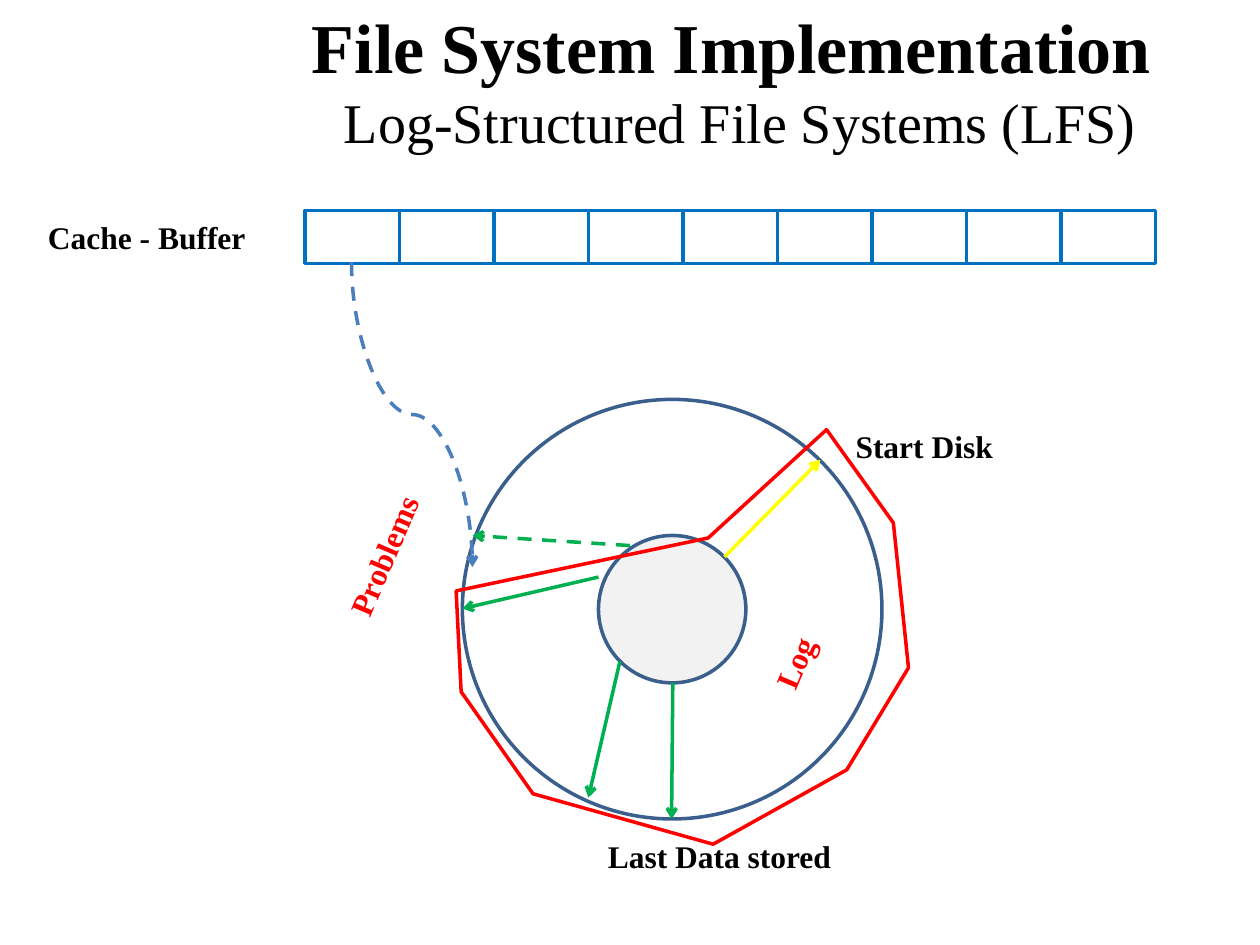
from pptx import Presentation
from pptx.dml.color import RGBColor
from pptx.enum.dml import MSO_LINE
from pptx.enum.shapes import MSO_CONNECTOR, MSO_SHAPE
from pptx.enum.text import MSO_ANCHOR, PP_ALIGN
from pptx.oxml.ns import qn
from pptx.util import Pt
from lxml import etree

PX = 9144
FONT = "Times New Roman"
RECTANGLE, OVAL = MSO_SHAPE.RECTANGLE, MSO_SHAPE.OVAL
STRAIGHT, CURVE = MSO_CONNECTOR.STRAIGHT, MSO_CONNECTOR.CURVE
DASH = MSO_LINE.DASH
MIDDLE, CENTER = MSO_ANCHOR.MIDDLE, PP_ALIGN.CENTER

BLACK = RGBColor(0x00, 0x00, 0x00)
RED = RGBColor(0xFF, 0x00, 0x00)
GREEN = RGBColor(0x00, 0xB0, 0x50)
YELLOW = RGBColor(0xFF, 0xFF, 0x00)
BUFFER_BLUE = RGBColor(0x00, 0x70, 0xC0)
DISK_BLUE = RGBColor(0x3A, 0x5F, 0x8C)
WRITE_BLUE = RGBColor(0x4B, 0x7E, 0xBC)
HUB_GRAY = RGBColor(0xF2, 0xF2, 0xF2)

LOG_OUTLINE = [(562, 427), (656, 341), (709, 415), (721, 530), (672, 611),
               (566, 670), (423, 630), (366, 549), (362, 469)]
DISK_ARROWS = [
    ((575, 442), (651, 365), YELLOW, None),
    ((534, 542), (533, 650), GREEN, None),
    ((492, 525), (467, 633), GREEN, None),
    ((475, 458), (367, 483), GREEN, None),
    ((500, 433), (375, 425), GREEN, DASH),
]
LABELS = [
    ("Cache - Buffer", (25, 167, 183, 42), BLACK, 0),
    ("Start Disk", (642, 333, 183, 42), BLACK, 0),
    ("Last Data stored", (450, 658, 242, 42), BLACK, 0),
    ("Log", (539, 505, 183, 42), RED, 293.2),
    ("Problems ", (214, 417, 183, 42), RED, 293.2),
]


def px(*lengths):
    """Turn px lengths into EMU."""
    return [length * PX for length in lengths]


def style_outline(shape, color, fill=None):
    """Give a shape a thin outline, an optional fill and no shadow."""
    shape.shadow.inherit = False
    shape.line.color.rgb = color
    shape.line.width = Pt(2)
    if fill is None:
        shape.fill.background()
    else:
        shape.fill.solid()
        shape.fill.fore_color.rgb = fill


def add_text(slide, text, box, color, styles, rotation=0):
    """Add centred text whose runs take the given (size, bold) styles."""
    label = slide.shapes.add_textbox(*px(*box))
    label.rotation = rotation
    frame = label.text_frame
    frame.word_wrap = True
    frame.vertical_anchor = MIDDLE
    paragraph = frame.paragraphs[0]
    paragraph.text = text
    paragraph.alignment = CENTER
    for run, (size, bold) in zip(paragraph.runs, styles):
        run.font.name = FONT
        run.font.size = Pt(size)
        run.font.bold = bold
        run.font.color.rgb = color


def add_buffer(slide):
    """Add the row of nine cache cells as one group."""
    cells = slide.shapes.add_group_shape().shapes
    for index in range(9):
        cell = cells.add_shape(RECTANGLE, *px(242 + 75 * index, 167, 75, 42))
        style_outline(cell, BUFFER_BLUE)


def add_circle(slide, center, diameter, fill=None):
    """Add a disk circle around a centre point."""
    left, top = (position - diameter // 2 for position in center)
    circle = slide.shapes.add_shape(OVAL, *px(left, top, diameter, diameter))
    style_outline(circle, DISK_BLUE, fill)


def add_arrow(slide, start, end, color, dash=None, kind=STRAIGHT):
    """Add a connector with an open arrowhead at its end."""
    arrow = slide.shapes.add_connector(kind, *px(*start, *end))
    arrow.line.color.rgb = color
    arrow.line.width = Pt(2)
    if dash is not None:
        arrow.line.dash_style = dash
    properties = arrow._element.spPr
    head = etree.SubElement(properties.find(qn("a:ln")), qn("a:tailEnd"))
    head.set("type", "arrow")
    etree.SubElement(properties, qn("a:effectLst"))
    return arrow


def add_log_outline(slide):
    """Add the closed outline around the log part of the disk."""
    first, *others = LOG_OUTLINE
    builder = slide.shapes.build_freeform(*first, scale=PX)
    builder.add_line_segments(others, close=True)
    style_outline(builder.convert_to_shape(), RED)


def add_write_path(slide):
    """Add the curved dashed arrow from the buffer to the disk."""
    curve = add_arrow(slide, (448, 281), (206, 377), WRITE_BLUE, DASH, CURVE)
    curve._element.spPr.find(qn("a:xfrm")).set("rot", str(270 * 60000))


def main():
    """Build the slide and save it."""
    presentation = Presentation()
    presentation.slide_width, presentation.slide_height = px(1000, 750)
    slide = presentation.slides.add_slide(presentation.slide_layouts[6])
    add_text(slide,
             "File System Implementation \vLog-Structured File Systems (LFS)",
             (175, 0, 825, 125), BLACK, [(40, True), (32, False)])
    add_buffer(slide)
    add_circle(slide, (533, 483), 333)
    add_circle(slide, (533, 483), 117, HUB_GRAY)
    for start, end, color, dash in DISK_ARROWS:
        add_arrow(slide, start, end, color, dash)
    add_log_outline(slide)
    add_write_path(slide)
    for text, box, color, rotation in LABELS:
        add_text(slide, text, box, color, [(18, True)], rotation)
    presentation.save("out.pptx")


if __name__ == "__main__":
    main()
